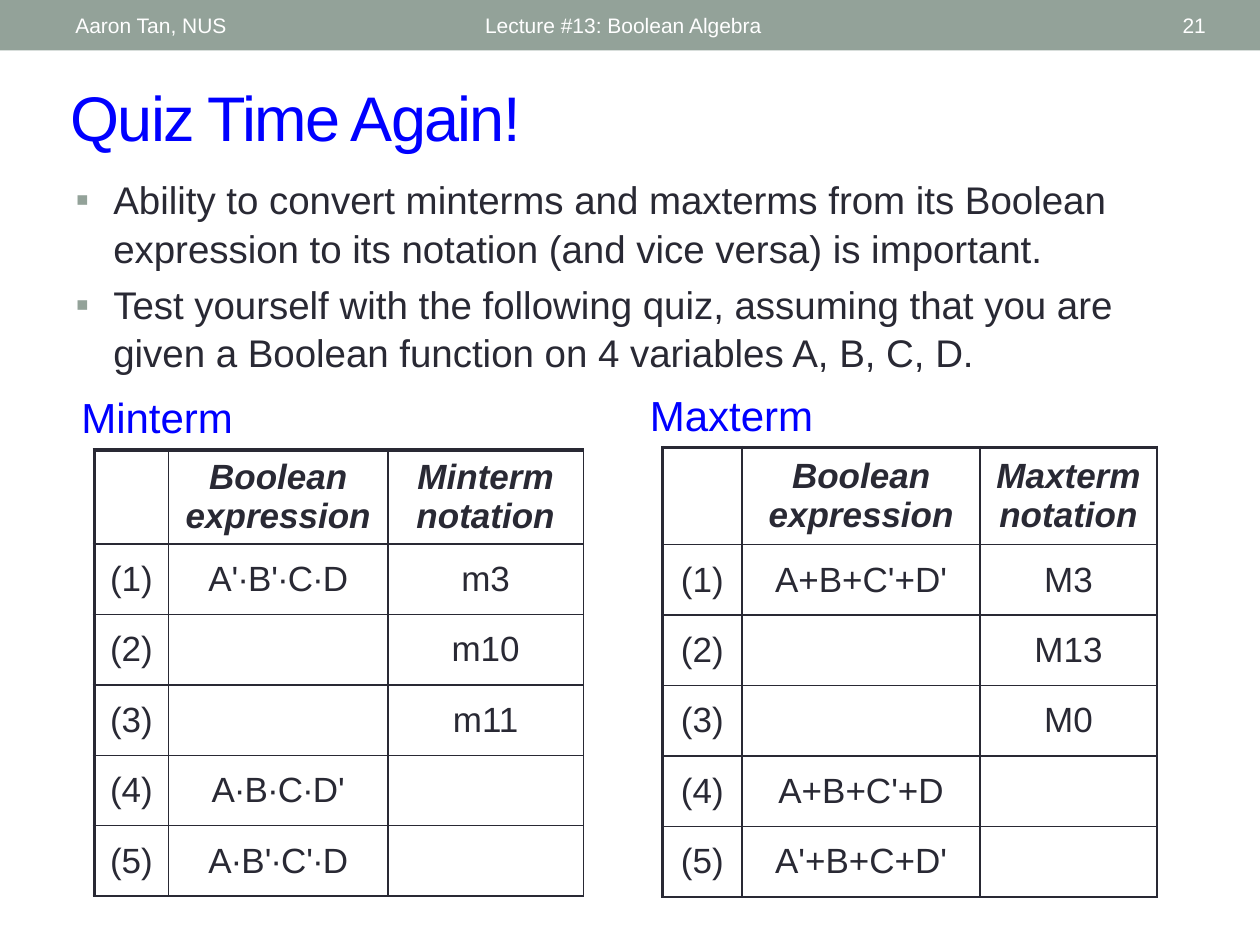
from dataclasses import dataclass

from lxml.etree import SubElement
from pptx import Presentation
from pptx.dml.color import RGBColor
from pptx.enum.shapes import MSO_SHAPE
from pptx.enum.text import MSO_ANCHOR as Anchor, MSO_AUTO_SIZE as AutoSize, PP_ALIGN as Align
from pptx.oxml.ns import qn
from pptx.util import Cm, Pt

INK, SAGE, BLUE, WHITE = "292934", "93A299", "0000FF", "FFFFFF"
ROW_HEIGHT = 1.42


@dataclass
class Label:
    text: str
    left: float
    top: float
    width: float
    height: float
    size: int
    color: str
    align: Align = Align.LEFT
    anchor: Anchor = Anchor.TOP


@dataclass
class Quiz:
    kind: str
    left: float
    top: float
    columns: tuple[float, ...]
    header_height: float
    answers: list[tuple[str, str]]


BANNER = [
    Label(text, left, 0.05, width, 0.91, 12, WHITE, align, Anchor.MIDDLE)
    for text, left, width, align in [
        ("Aaron Tan, NUS", 1.27, 8.05, Align.LEFT),
        ("Lecture #13: Boolean Algebra", 9.53, 11.43, Align.LEFT),
        ("21", 22.15, 2.41, Align.RIGHT),
    ]
]
POINTS = [
    "Ability to convert minterms and maxterms from its Boolean expression "
    "to its notation (and vice versa) is important.",
    "Test yourself with the following quiz, assuming that you are given "
    "a Boolean function on 4 variables A, B, C, D.",
]
QUIZZES = [
    Quiz("Minterm", 1.9, 9.07, (1.5, 4.42, 3.94), 1.83,
         [("A'∙B'∙C∙D", "m3"), ("", "m10"), ("", "m11"),
          ("A∙B∙C∙D'", ""), ("A∙B'∙C'∙D", "")]),
    Quiz("Maxterm", 13.36, 9.02, (1.6, 4.8, 3.56), 1.96,
         [("A+B+C'+D'", "M3"), ("", "M13"), ("", "M0"),
          ("A+B+C'+D", ""), ("A'+B+C+D'", "")]),
]


def rgb(color: str) -> RGBColor:
    return RGBColor.from_string(color)


def style(para, size: int, color: str, align: Align = Align.LEFT, strong: bool = False) -> None:
    """Format a paragraph; strong means bold italic."""
    para.alignment = align
    font = para.font
    font.name, font.size, font.bold, font.italic = "Arial", Pt(size), strong, strong
    font.color.rgb = rgb(color)


def place(shape, left: float, top: float, width: float, height: float) -> None:
    shape.left, shape.top, shape.width, shape.height = map(Cm, (left, top, width, height))


def add_label(page, label: Label) -> None:
    box = page.shapes.add_textbox(Cm(label.left), Cm(label.top), Cm(label.width), Cm(label.height))
    frame = box.text_frame
    frame.word_wrap = True
    frame.vertical_anchor = label.anchor
    frame.text = label.text
    style(frame.paragraphs[0], label.size, label.color, label.align)


def add_banner(page) -> None:
    bar = page.shapes.add_shape(MSO_SHAPE.RECTANGLE, 0, 0, Cm(25.4), Cm(1.02))
    bar.shadow.inherit = False
    bar.fill.solid()
    bar.fill.fore_color.rgb = rgb(SAGE)
    bar.line.fill.background()
    for label in BANNER:
        add_label(page, label)


def fill_title(title) -> None:
    place(title, 1.17, 1.45, 23.04, 1.78)
    frame = title.text_frame
    frame.auto_size = AutoSize.NONE
    frame.vertical_anchor = Anchor.MIDDLE
    frame.text = "Quiz Time Again!"
    para = frame.paragraphs[0]
    style(para, 36, BLUE)
    para.runs[0].font._element.set("spc", "-100")


def fill_body(body) -> None:
    place(body, 1.27, 3.38, 22.43, 4.34)
    frame = body.text_frame
    frame.auto_size = AutoSize.NONE
    frame.text = "\n".join(POINTS)
    for para in frame.paragraphs:
        style(para, 22, INK)
        para.line_spacing = 1.05
        para.space_before = Pt(4.4)
        add_bullet(para)


def add_bullet(para) -> None:
    props = para._p.get_or_add_pPr()
    indent = Cm(0.76)
    props.set("marL", str(indent))
    props.set("indent", str(-indent))
    color = SubElement(props, qn("a:buClr"))
    SubElement(color, qn("a:srgbClr"), val=SAGE)
    SubElement(props, qn("a:buFont"), typeface="Arial")
    SubElement(props, qn("a:buChar"), char="▪")


def set_borders(cell, left: float, top: float) -> None:
    """Draw all four sides; right and bottom are always 1 pt."""
    props = cell._tc.get_or_add_tcPr()
    for side, width in (("L", left), ("R", 1), ("T", top), ("B", 1)):
        line = SubElement(props, qn(f"a:ln{side}"), w=str(Pt(width)))
        fill = SubElement(line, qn("a:solidFill"))
        SubElement(fill, qn("a:srgbClr"), val=INK)


def add_quiz(page, quiz: Quiz) -> None:
    add_label(page, Label(quiz.kind, quiz.left - 0.51, quiz.top - 1.3, 3.91, 1.27, 24, BLUE))
    rows = [("", "Boolean expression", f"{quiz.kind} notation")]
    rows += [(f"({number})", *answer) for number, answer in enumerate(quiz.answers, 1)]
    height = quiz.header_height + ROW_HEIGHT * len(quiz.answers)
    table = page.shapes.add_table(
        len(rows), len(quiz.columns), Cm(quiz.left), Cm(quiz.top),
        Cm(sum(quiz.columns)), Cm(height)).table
    table.first_row = table.horz_banding = False
    for column, width in zip(table.columns, quiz.columns):
        column.width = Cm(width)
    for r, texts in enumerate(rows):
        table.rows[r].height = Cm(ROW_HEIGHT if r else quiz.header_height)
        for c, text in enumerate(texts):
            cell = table.cell(r, c)
            set_borders(cell, left=1 if c else 2.25, top=1 if r else 2.25)
            cell.fill.background()
            cell.margin_top = cell.margin_bottom = Cm(0.1)
            cell.vertical_anchor = Anchor.MIDDLE
            cell.text = text
            style(cell.text_frame.paragraphs[0], 20, INK, Align.CENTER, strong=r == 0)


def main() -> None:
    deck = Presentation()
    deck.slide_width, deck.slide_height = Cm(25.4), Cm(19.05)
    page = deck.slides.add_slide(deck.slide_layouts[1])
    add_banner(page)
    fill_title(page.shapes.title)
    fill_body(page.placeholders[1])
    for quiz in QUIZZES:
        add_quiz(page, quiz)
    deck.save("out.pptx")


if __name__ == "__main__":
    main()
